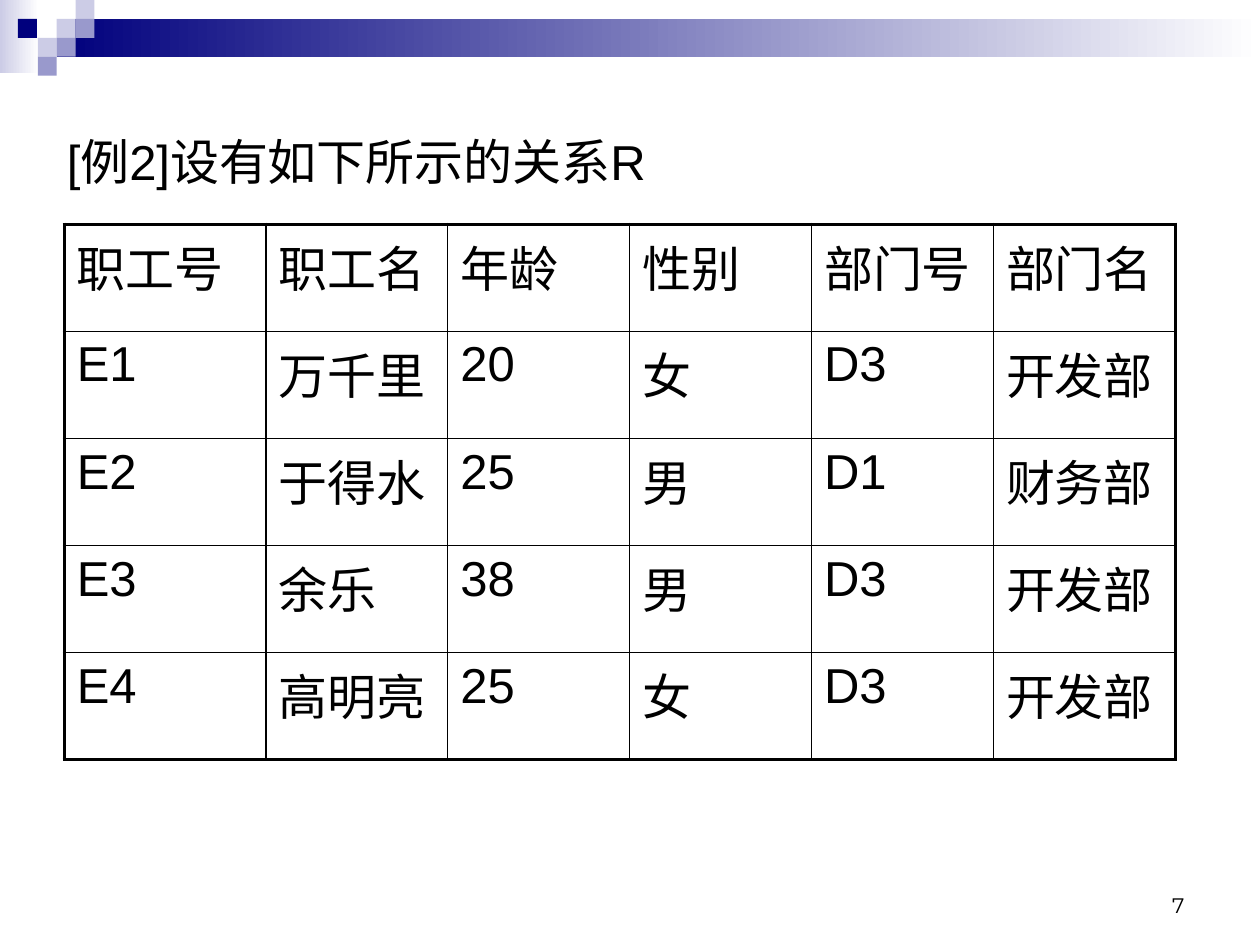
from lxml import etree
from pptx import Presentation
from pptx.dml.color import RGBColor
from pptx.enum import shapes, text
from pptx.oxml import ns
from pptx.util import Inches, Pt

BLACK = RGBColor(0, 0, 0)
WHITE = RGBColor(255, 255, 255)
NAVY = RGBColor(0, 0, 0x7D)
PALE = RGBColor(0xCC, 0xCC, 0xE6)
MID = RGBColor(0x99, 0x99, 0xCC)
THICK, THIN = 2.25, 1

ROWS = [
    ["职工号", "职工名", "年龄", "性别", "部门号", "部门名"],
    ["E1", "万千里", "20", "女", "D3", "开发部"],
    ["E2", "于得水", "25", "男", "D1", "财务部"],
    ["E3", "余乐", "38", "男", "D3", "开发部"],
    ["E4", "高明亮", "25", "女", "D3", "开发部"],
]


def write(frame, words, size=28, font="Arial", align=None, before=20):
    """Put one formatted paragraph in a text frame."""
    para = frame.paragraphs[0]
    para.alignment = align
    run = para.add_run()
    run.text = words
    run.font.size, run.font.name = Pt(size), font
    run.font.color.rgb = BLACK
    prop = para._p.get_or_add_pPr()
    if before:
        gap = etree.SubElement(prop, ns.qn("a:spcBef"))
        etree.SubElement(gap, ns.qn("a:spcPct"), val=str(before * 1000))
    return prop


def block(slide, box, tint, fade=False):
    """Draw a plain rectangle, or one fading to white."""
    rect = slide.shapes.add_shape(
        shapes.MSO_SHAPE.RECTANGLE, *map(Inches, box))
    rect.shadow.inherit = False
    rect.line.fill.background()
    if fade:
        rect.fill.gradient()
        rect.fill.gradient_angle = 0
        for stop, tone, spot in zip(rect.fill.gradient_stops,
                                    (tint, WHITE), (0, 1)):
            stop.color.rgb, stop.position = tone, spot
    else:
        rect.fill.solid()
        rect.fill.fore_color.rgb = tint


def banner(slide, left, top, width):
    """Fading bars with a mosaic of squares on a grid."""
    side = 0.15
    block(slide, (left, top, 0.31, 0.58), PALE, True)
    block(slide, (left + 3 * side, top + side, width - 3 * side, 2 * side),
          NAVY, True)
    for col, row, tint in [(3, 1, PALE), (4, 0, PALE), (4, 1, MID),
                           (2, 2, PALE), (0.95, 1, NAVY), (3, 2, MID),
                           (2, 3, MID)]:
        block(slide, (left + col * side, top + row * side, side, side), tint)


def lead(slide, left, top, width, height):
    """Body placeholder holding the opening line."""
    body = slide.placeholders[1]
    body.left, body.top, body.width, body.height = map(
        Inches, (left, top, width, height))
    body.text_frame.auto_size = text.MSO_AUTO_SIZE.NONE
    prop = write(body.text_frame, "[例2]设有如下所示的关系R")
    prop.set("marL", str(Inches(0.38)))
    prop.set("indent", str(-Inches(0.38)))
    etree.SubElement(prop, ns.qn("a:buNone"))


def edge(cell, sides):
    """Set the cell's border widths, in points, by side."""
    prop = cell._tc.get_or_add_tcPr()
    for spot, (side, width) in enumerate(sides.items()):
        line = etree.Element(ns.qn("a:ln" + side), w=str(Pt(width)))
        fill = etree.SubElement(line, ns.qn("a:solidFill"))
        etree.SubElement(fill, ns.qn("a:srgbClr"), val=str(BLACK))
        prop.insert(spot, line)


def staff(slide, left, top, width, height):
    """Table with a thick frame and thin inner rules."""
    high, wide = len(ROWS), len(ROWS[0])
    first = 1.6
    grid = slide.shapes.add_table(
        high, wide, *map(Inches, (left, top, width, height))).table
    grid.first_row = grid.horz_banding = False
    for c, col in enumerate(grid.columns):
        col.width = Inches((width - first) / (wide - 1) if c else first)
    for r, row in enumerate(ROWS):
        grid.rows[r].height = Inches(height / high)
        for c, words in enumerate(row):
            cell = grid.cell(r, c)
            cell.fill.background()
            write(cell.text_frame, words)
            edge(cell, {"L": THIN if c else THICK,
                        "R": THIN if c < wide - 1 else THICK,
                        "T": THIN if r else THICK,
                        "B": THIN if r < high - 1 else THICK})


def number(slide, left, top, width, height):
    """Page number at the lower right."""
    frame = slide.shapes.add_textbox(
        *map(Inches, (left, top, width, height))).text_frame
    frame.word_wrap = True
    frame.vertical_anchor = text.MSO_ANCHOR.BOTTOM
    write(frame, "7", size=12, font="Montserrat",
          align=text.PP_ALIGN.RIGHT, before=0)


deck = Presentation()
deck.slide_width, deck.slide_height = Inches(10), Inches(7.5)
page = deck.slides.add_slide(deck.slide_layouts[1])
title = page.shapes.title._element
title.getparent().remove(title)

banner(page, 0, 0, 10)
number(page, 7.17, 6.83, 2.33, 0.5)
lead(page, 0.43, 0.99, 9.29, 5.83)
staff(page, 0.51, 1.78, 8.82, 4.25)
deck.save("out.pptx")
